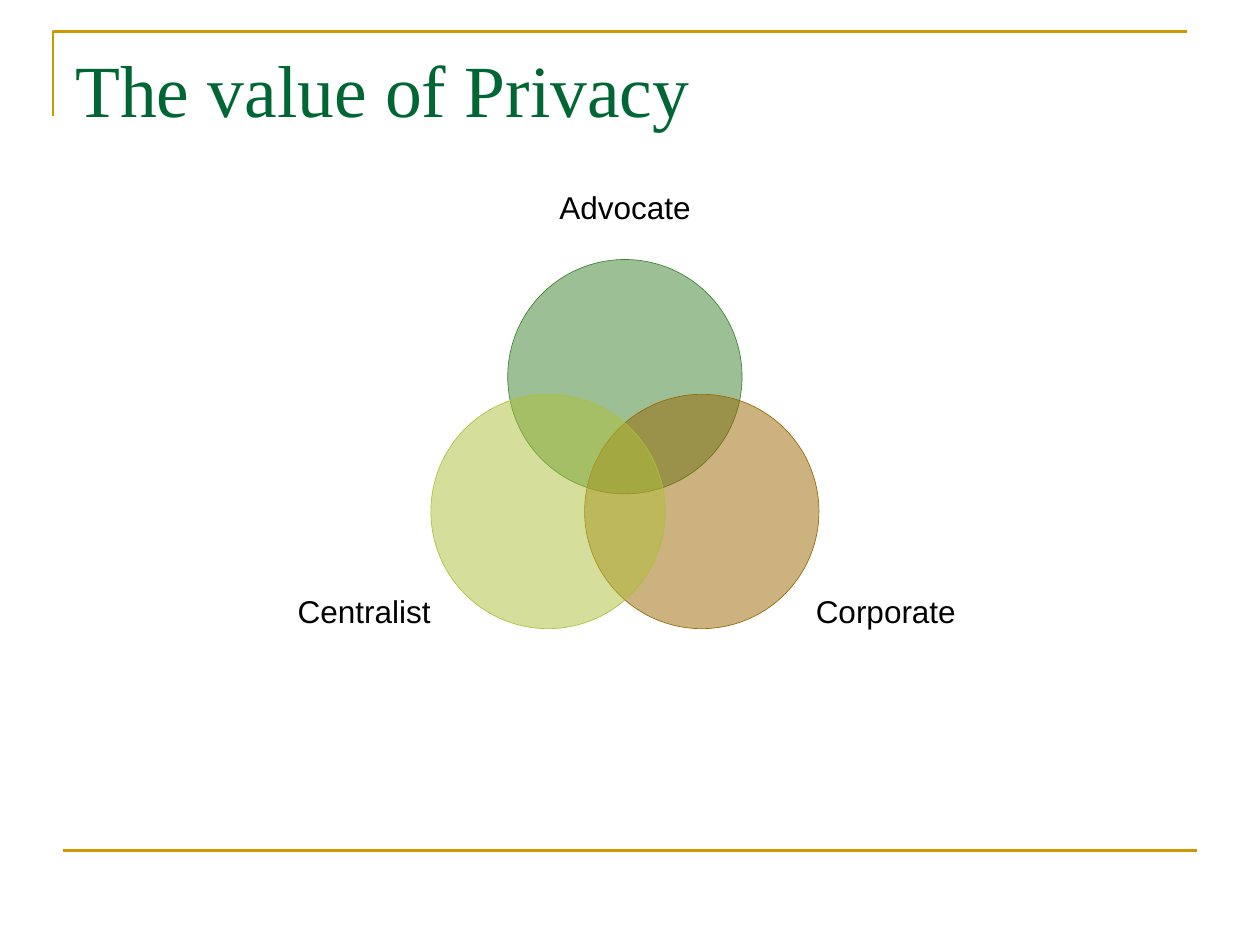
from dataclasses import dataclass

from lxml import etree
from pptx import Presentation
from pptx.dml.color import RGBColor
from pptx.enum.shapes import MSO_CONNECTOR, MSO_SHAPE
from pptx.enum.text import MSO_ANCHOR, PP_ALIGN
from pptx.oxml.ns import qn
from pptx.util import Pt

LINE = MSO_CONNECTOR.STRAIGHT
OVAL = MSO_SHAPE.OVAL
TOP, MIDDLE = MSO_ANCHOR.TOP, MSO_ANCHOR.MIDDLE
LEFT, CENTER = PP_ALIGN.LEFT, PP_ALIGN.CENTER
SCALE = 9144


@dataclass
class Theme:
    gold: str = "CC9900"
    title: str = "006633"
    ink: str = "000000"
    green: str = "3B812F"
    brown: str = "996600"
    lime: str = "AFBF39"
    serif: str = "Times New Roman"
    sans: str = "Arial"
    head: int = 42
    body: int = 18
    rule: float = 1.5
    edge: float = 0.37


class Deck:
    def __init__(self, theme):
        self.theme = theme
        self.file = Presentation()
        self.file.slide_width = self.px(1000)
        self.file.slide_height = self.px(750)
        self.slide = self.file.slides.add_slide(self.file.slide_layouts[6])
        self.shapes = self.slide.shapes

    def px(self, size):
        return size * SCALE

    def box(self, *sizes):
        return [self.px(size) for size in sizes]

    def stroke(self, shape, color, width):
        shape.line.color.rgb = RGBColor.from_string(color)
        shape.line.width = Pt(width)

    def corner(self, start, *rest):
        form = self.shapes.build_freeform(*start, scale=SCALE)
        form.add_line_segments(rest, close=False)
        shape = form.convert_to_shape()
        shape.shadow.inherit = False
        shape.fill.background()
        self.stroke(shape, self.theme.gold, self.theme.rule)

    def rule(self, x, y, width):
        line = self.shapes.add_connector(LINE, *self.box(x, y, x + width, y))
        self.stroke(line, self.theme.gold, self.theme.rule)
        etree.SubElement(line._element.spPr, qn("a:effectLst"))

    def disc(self, x, y, size, color):
        shape = self.shapes.add_shape(OVAL, *self.box(x, y, size, size))
        shape.shadow.inherit = False
        shape.fill.solid()
        shape.fill.fore_color.rgb = RGBColor.from_string(color)
        tint = shape._element.spPr.find(qn("a:solidFill"))[0]
        etree.SubElement(tint, qn("a:alpha"), val="50000")
        self.stroke(shape, color, self.theme.edge)

    def text(self, words, area, face, size, color, align, anchor, inset):
        frame = self.shapes.add_textbox(*self.box(*area)).text_frame
        frame.word_wrap = True
        frame.vertical_anchor = anchor
        frame.margin_left = frame.margin_right = self.px(inset)
        frame.text = words
        para = frame.paragraphs[0]
        para.alignment = align
        font = para.runs[0].font
        font.name = face
        font.size = Pt(size)
        font.color.rgb = RGBColor.from_string(color)

    def title(self, words, area):
        look = self.theme
        self.text(words, area, look.serif, look.head, look.title,
                  LEFT, TOP, 10)

    def label(self, words, mid, y):
        look = self.theme
        wide = 118
        self.text(words, (mid - wide // 2, y, wide, 47), look.sans,
                  look.body, look.ink, CENTER, MIDDLE, 0)


def main():
    theme = Theme()
    deck = Deck(theme)
    deck.corner((42, 92), (42, 25), (942, 25))
    deck.rule(50, 675, 900)
    deck.title("The value of Privacy", (50, 30, 900, 125))

    mid, size, shift = 496, 186, 61
    views = [
        ("Advocate", theme.green, 0, 206, 0, 141),
        ("Corporate", theme.brown, 1, 313, 207, 461),
        ("Centralist", theme.lime, -1, 313, 207, 461),
    ]
    for name, color, side, top, reach, low in views:
        deck.disc(mid - size // 2 + side * shift, top, size, color)
        deck.label(name, mid + side * reach, low)
    deck.file.save("out.pptx")


if __name__ == "__main__":
    main()
